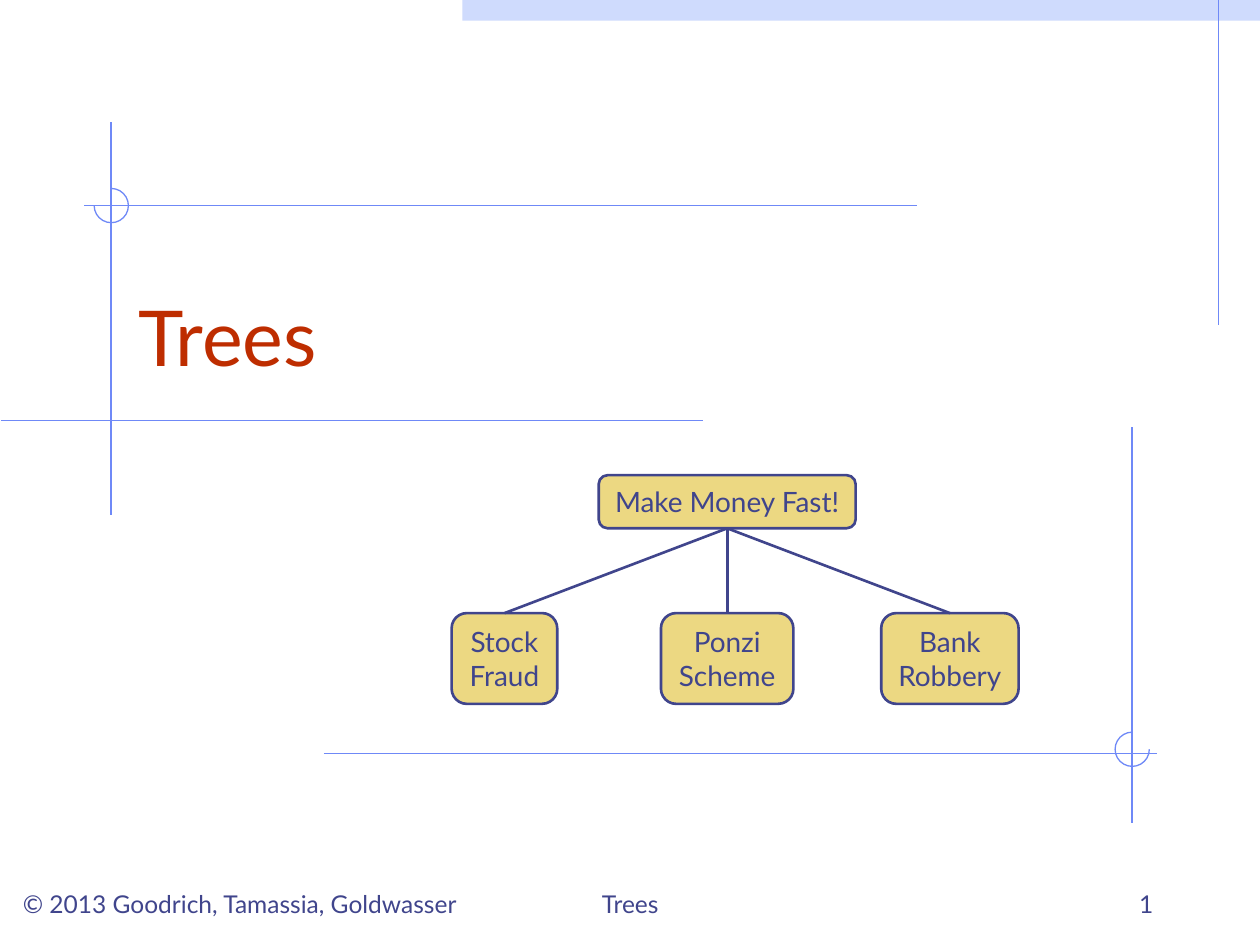
from dataclasses import dataclass
from typing import NamedTuple

from lxml.etree import SubElement
from pptx import Presentation
from pptx.dml.color import RGBColor
from pptx.enum.shapes import MSO_CONNECTOR, MSO_SHAPE
from pptx.enum.text import MSO_ANCHOR, MSO_AUTO_SIZE, PP_ALIGN
from pptx.oxml.ns import qn
from pptx.util import Cm, Pt


@dataclass(frozen=True)
class Theme:
    font: str = "Lato"
    ink: RGBColor = RGBColor(0x40, 0x45, 0x8C)
    heading: RGBColor = RGBColor(0xBE, 0x2D, 0x00)
    guide: RGBColor = RGBColor(0x6F, 0x89, 0xF7)
    band: RGBColor = RGBColor(0xCF, 0xDB, 0xFD)
    node: RGBColor = RGBColor(0xEC, 0xD8, 0x82)
    title_size: int = 44
    node_size: int = 16
    footer_size: int = 14
    guide_width: float = 0.75
    edge_width: float = 1.5


class Box(NamedTuple):
    left: float
    top: float
    width: float
    height: float

    def inner(self, x, y, width, height):
        return Box(self.left + x, self.top + y, width, height)

    def lengths(self):
        return [Cm(value) for value in self]


THEME = Theme()


def write(frame, text, size, color=THEME.ink, align=PP_ALIGN.LEFT,
          anchor=MSO_ANCHOR.BOTTOM, wrap=True):
    frame.auto_size = MSO_AUTO_SIZE.NONE
    frame.word_wrap = wrap
    frame.vertical_anchor = anchor
    paragraph = frame.paragraphs[0]
    paragraph.text = text
    paragraph.alignment = align
    for run in paragraph.runs:
        run.font.name = THEME.font
        run.font.size = Pt(size)
        run.font.color.rgb = color
    for line_break in paragraph._p.findall(qn("a:br")):
        SubElement(line_break, qn("a:rPr")).set("sz", str(size * 100))


def draw_line(slide, box, color=THEME.guide, weight=THEME.guide_width):
    left, top, width, height = box.lengths()
    line = slide.shapes.add_connector(
        MSO_CONNECTOR.STRAIGHT, left, top, left + width, top + height)
    line.line.color.rgb = color
    line.line.width = Pt(weight)
    SubElement(line._element.spPr, qn("a:effectLst"))
    return line


def draw_shape(slide, preset, box, fill=None, outline=None, weight=THEME.guide_width):
    shape = slide.shapes.add_shape(preset, *box.lengths())
    shape.shadow.inherit = False
    if fill is None:
        shape.fill.background()
    else:
        shape.fill.solid()
        shape.fill.fore_color.rgb = fill
    if outline is None:
        shape.line.fill.background()
    else:
        shape.line.color.rgb = outline
        shape.line.width = Pt(weight)
    return shape


def draw_arc(slide, box, start, end):
    arc = draw_shape(slide, MSO_SHAPE.ARC, box, outline=THEME.guide)
    for index, degrees in enumerate((start, end)):
        arc.adjustments[index] = degrees * 0.6


def add_top_corner(slide, box):
    draw_shape(slide, MSO_SHAPE.RECTANGLE, box.inner(0, 0, box.width, 0.42), fill=THEME.band)
    draw_line(slide, box.inner(box.width - 0.84, 0, 0, box.height))


def add_title_region(slide, box):
    draw_line(slide, box.inner(2.22, 0, 0, box.height))
    draw_line(slide, box.inner(0, 6.02, 14.15, 0))
    draw_line(slide, box.inner(1.68, 1.68, box.width - 1.68, 0))
    draw_arc(slide, box.inner(1.88, 1.34, 0.69, 0.69), 270, 180)
    title = slide.shapes.title
    title.left, title.top, title.width, title.height = box.inner(2.52, 2.19, 21.59, 3.18).lengths()
    write(title.text_frame, "Trees", THEME.title_size, THEME.heading)


def add_lower_frame(slide, box):
    draw_line(slide, box.inner(0, 6.58, box.width, 0))
    draw_line(slide, box.inner(16.29, 0, 0, box.height))
    draw_arc(slide, box.inner(15.95, 6.15, 0.69, 0.69), 0, 270)


def add_node(slide, box, label):
    node = draw_shape(slide, MSO_SHAPE.ROUNDED_RECTANGLE, box, THEME.node,
                      THEME.ink, THEME.edge_width)
    write(node.text_frame, label, THEME.node_size, align=PP_ALIGN.CENTER,
          anchor=MSO_ANCHOR.MIDDLE, wrap=False)
    return node


def add_tree(slide, box):
    leaves = (("Stock\nFraud", 2.13), ("Ponzi\nScheme", 2.67), ("Bank\nRobbery", 2.77))
    root_width, root_height, leaf_height = 5.18, 1.07, 1.83
    first_center, spacing = 1.07, 4.49
    root_center = first_center + spacing
    root = add_node(slide, box.inner(root_center - root_width / 2, 0, root_width, root_height),
                    "Make Money Fast!")
    for index, (label, width) in enumerate(leaves):
        center = first_center + index * spacing
        leaf = add_node(slide, box.inner(center - width / 2, box.height - leaf_height,
                                         width, leaf_height), label)
        edge = draw_line(slide, box, THEME.ink, THEME.edge_width)
        edge.begin_connect(root, 2)
        edge.end_connect(leaf, 0)


def add_footer(slide, box):
    entries = (
        ("© 2013 Goodrich, Tamassia, Goldwasser", 0, 9.96, PP_ALIGN.LEFT),
        ("Trees", 8.47, 8.05, PP_ALIGN.CENTER),
        ("1", 18, 5.29, PP_ALIGN.RIGHT),
    )
    for text, x, width, align in entries:
        entry = slide.shapes.add_textbox(*box.inner(x, 0, width, box.height).lengths())
        write(entry.text_frame, text, THEME.footer_size, align=align)


def main():
    deck = Presentation()
    deck.slide_width, deck.slide_height = Cm(25.4), Cm(19.05)
    slide = deck.slides.add_slide(deck.slide_layouts[0])
    subtitle = slide.placeholders[1]._element
    subtitle.getparent().remove(subtitle)
    add_top_corner(slide, Box(9.32, 0, 16.08, 6.56))
    add_title_region(slide, Box(0.02, 2.46, 18.47, 7.93))
    add_lower_frame(slide, Box(6.53, 8.61, 16.79, 7.98))
    add_tree(slide, Box(9.1, 9.58, 11.43, 4.61))
    add_footer(slide, Box(0.21, 17.36, 23.29, 1.27))
    deck.save("out.pptx")


if __name__ == "__main__":
    main()
